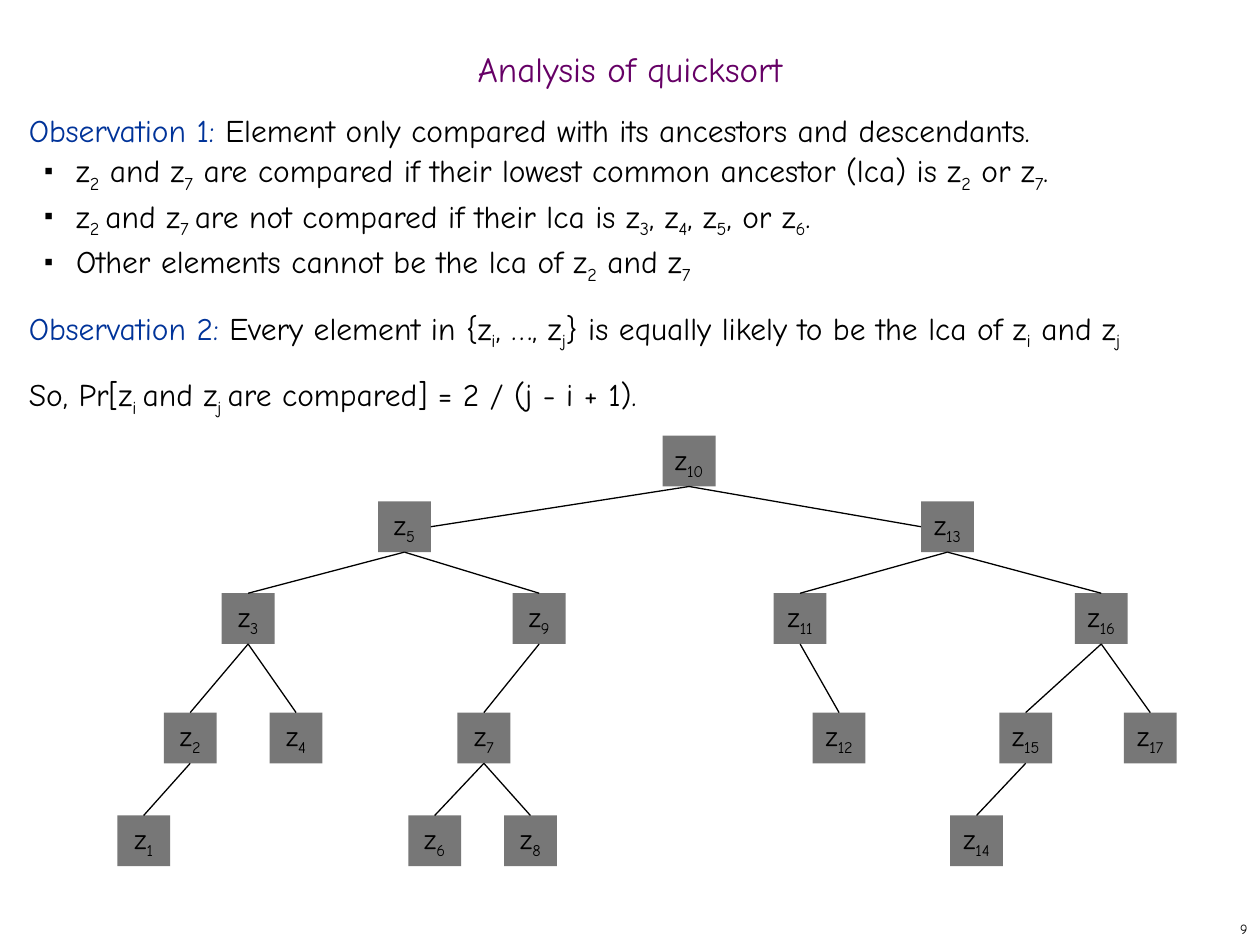
from lxml.etree import SubElement
from pptx import Presentation
from pptx.dml.color import RGBColor
from pptx.enum.shapes import MSO_CONNECTOR, MSO_SHAPE
from pptx.enum.text import MSO_ANCHOR, PP_ALIGN
from pptx.oxml.ns import qn
from pptx.util import Pt

BLACK = RGBColor(0x00, 0x00, 0x00)
PURPLE = RGBColor(0x66, 0x00, 0x66)
BLUE = RGBColor(0x00, 0x33, 0x99)
GRAY = RGBColor(0x77, 0x77, 0x77)

TOP, LEFT, BOTTOM, RIGHT = range(4)
NODE_WIDTH, NODE_HEIGHT = 30.2, 29
ROW_TOPS = [249, 286.5, 339, 407.2, 466]

TREE = {
    10: (0, 378.7, None),
    5: (1, 216, 10),
    13: (1, 526.3, 10),
    3: (2, 126.7, 5),
    9: (2, 293, 5),
    11: (2, 442.1, 13),
    16: (2, 614.2, 13),
    2: (3, 93.6, 3),
    4: (3, 154.1, 3),
    7: (3, 261.4, 9),
    12: (3, 464.4, 11),
    15: (3, 571, 16),
    17: (3, 642.2, 16),
    1: (4, 67, 2),
    6: (4, 233.3, 7),
    8: (4, 288, 7),
    14: (4, 542.9, 15),
}

STATEMENTS = [
    ("Observation 1: ", "Element only compared with its ancestors and descendants."),
    (None, "z~2~ and z~7~ are compared if their lowest common ancestor (lca) is z~2~ or z~7~."),
    (None, "z~2 ~and z~7 ~are not compared if their lca is z~3~, z~4~, z~5~, or z~6~."),
    (None, "Other elements cannot be the lca of z~2~ and z~7~"),
    ("Observation 2: ", "Every element in {z~i~, …, z~j~} is equally likely to be the lca of z~i~ and z~j~"),
    ("", "So, Pr[z~i ~and z~j ~are compared] = 2 / (j - i + 1)."),
]


class SlideBuilder:
    font = "Comic Neue"

    def __init__(self, page):
        self.page = page

    def add_spans(self, para, text, size, color=BLACK):
        for index, part in enumerate(text.split("~")):
            if not part:
                continue
            span = para.add_run()
            span.text = part
            span.font.name = self.font
            span.font.size = Pt(size)
            span.font.color.rgb = color
            if index % 2:
                span._r.get_or_add_rPr().set("baseline", "-25000")

    def text_box(self, left, top, width, height, anchor=MSO_ANCHOR.MIDDLE, wrap=True):
        box = self.page.shapes.add_textbox(Pt(left), Pt(top), Pt(width), Pt(height))
        frame = box.text_frame
        frame.word_wrap = wrap
        frame.vertical_anchor = anchor
        return frame

    def line_of_text(self, text, place, size, color, align, wrap=True):
        para = self.text_box(*place, wrap=wrap).paragraphs[0]
        para.alignment = align
        self.add_spans(para, text, size, color)
        return para

    def bullet(self, para):
        para.level = 1
        props = para._p.get_or_add_pPr()
        props.set("marL", str(Pt(27)))
        props.set("indent", str(Pt(-18)))
        color = SubElement(props, qn("a:buClr"))
        SubElement(color, qn("a:srgbClr"), val=str(BLACK))
        SubElement(props, qn("a:buSzPct"), val="35000")
        SubElement(props, qn("a:buChar"), char="■")

    def statements(self, items, place):
        frame = self.text_box(*place, anchor=MSO_ANCHOR.TOP)
        for index, (lead, text) in enumerate(items):
            para = frame.add_paragraph() if index else frame.paragraphs[0]
            para.line_spacing = Pt(26)
            para.space_before = Pt(0 if lead is None else 12)
            if lead is None:
                self.bullet(para)
            else:
                self.add_spans(para, lead, 18, BLUE)
            self.add_spans(para, text, 18)

    def node(self, number, left, top):
        box = self.page.shapes.add_shape(
            MSO_SHAPE.RECTANGLE, Pt(left), Pt(top), Pt(NODE_WIDTH), Pt(NODE_HEIGHT))
        box.shadow.inherit = False
        box.fill.solid()
        box.fill.fore_color.rgb = GRAY
        box.line.fill.background()
        frame = box.text_frame
        frame.word_wrap = False
        frame.vertical_anchor = MSO_ANCHOR.MIDDLE
        para = frame.paragraphs[0]
        para.alignment = PP_ALIGN.CENTER
        self.add_spans(para, f"z~{number}~", 16)
        return box

    def edge(self, parent, child, side):
        line = self.page.shapes.add_connector(MSO_CONNECTOR.STRAIGHT, 0, 0, 0, 0)
        line.begin_connect(parent, BOTTOM)
        line.end_connect(child, side)
        line.line.color.rgb = BLACK
        line.line.width = Pt(0.75)
        SubElement(line._element.spPr, qn("a:effectLst"))

    def tree(self, nodes):
        boxes = {}
        for number, (row, left, parent) in nodes.items():
            boxes[number] = self.node(number, left, ROW_TOPS[row])
            if parent is None:
                continue
            side = TOP
            if row == 1:
                side = RIGHT if number < parent else LEFT
            self.edge(boxes[parent], boxes[number], side)


def main():
    deck = Presentation()
    deck.slide_width, deck.slide_height = Pt(720), Pt(540)
    builder = SlideBuilder(deck.slides.add_slide(deck.slide_layouts[6]))
    title = builder.line_of_text(
        "Analysis of quicksort", (0, 24, 720, 36), 20, PURPLE, PP_ALIGN.CENTER)
    title.line_spacing = 0.7
    builder.statements(STATEMENTS, (9.4, 55.4, 710.6, 437))
    builder.line_of_text("9", (570, 522, 150, 18), 8, BLACK, PP_ALIGN.RIGHT, wrap=False)
    builder.tree(TREE)
    deck.save("out.pptx")


if __name__ == "__main__":
    main()
